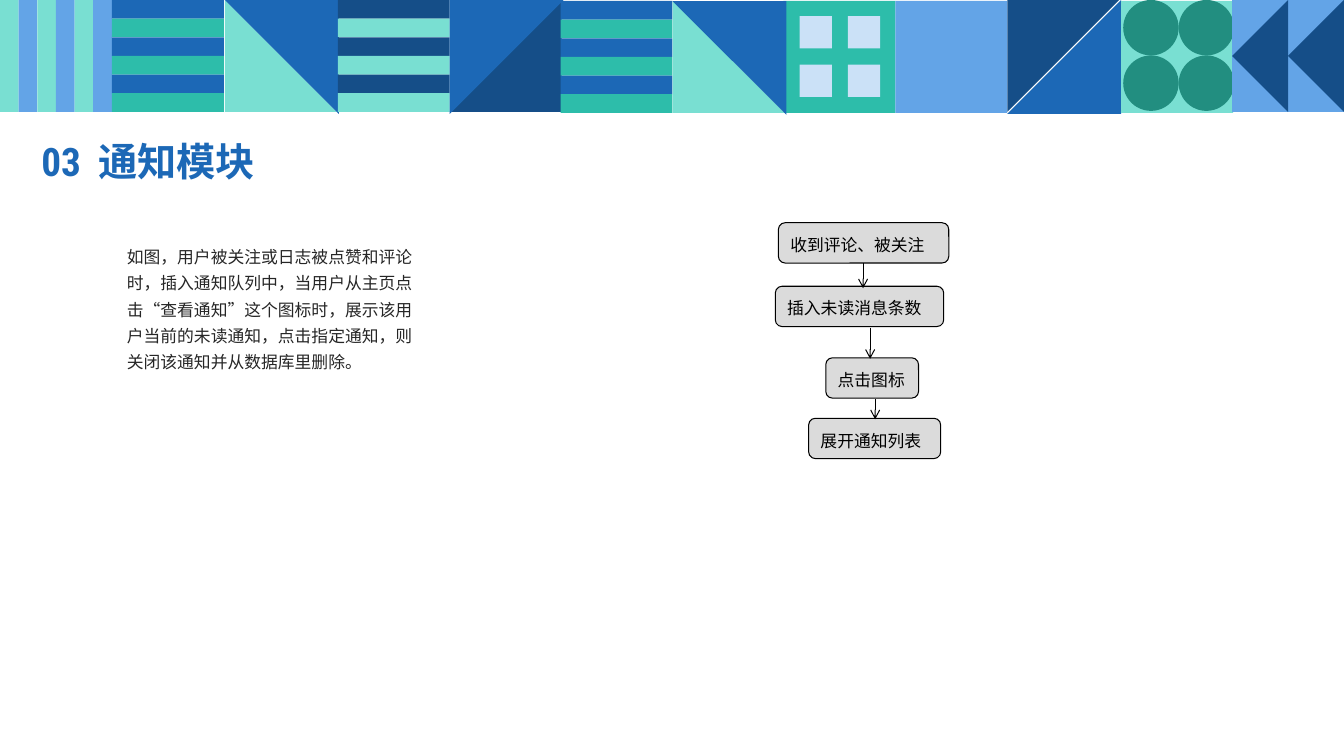
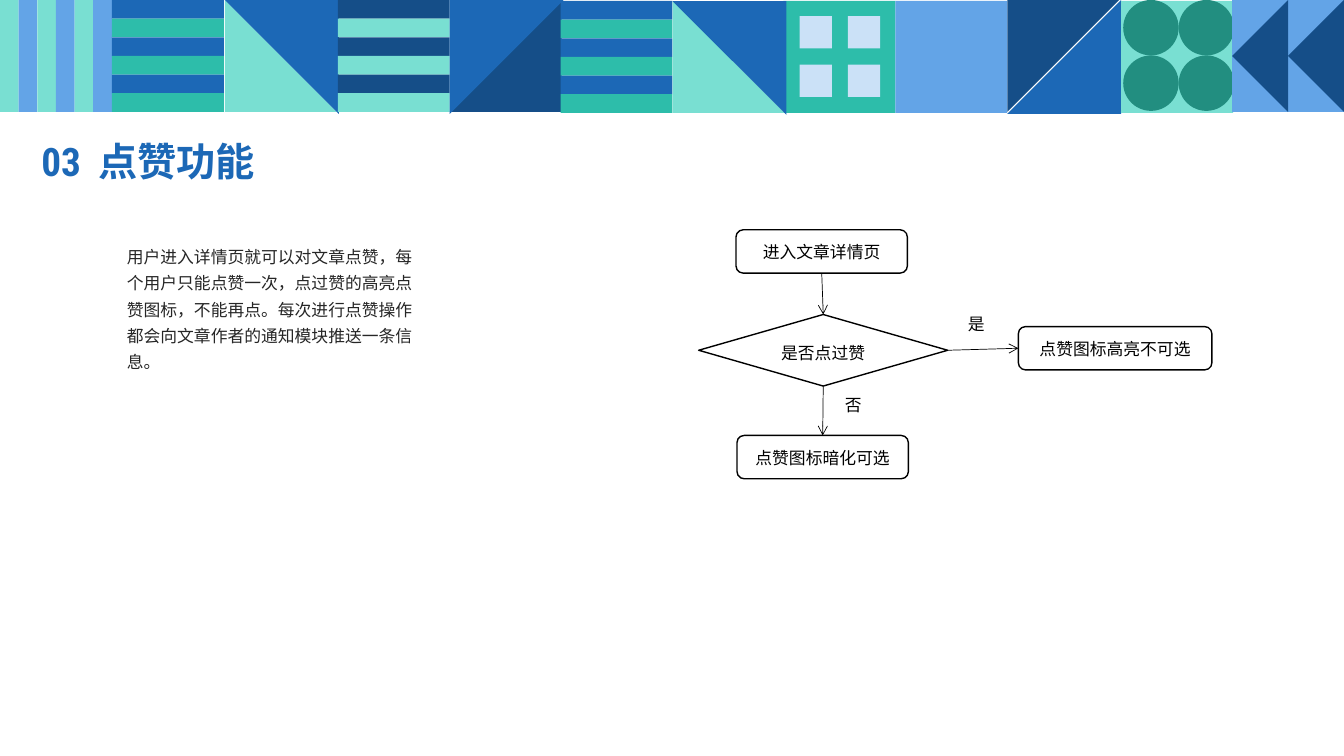
from lxml import etree
from pptx import Presentation
from pptx.dml.color import RGBColor
from pptx.enum.shapes import MSO_CONNECTOR, MSO_SHAPE
from pptx.enum.text import MSO_ANCHOR, PP_ALIGN
from pptx.oxml.ns import qn
from pptx.util import Inches, Pt

RECTANGLE = MSO_SHAPE.RECTANGLE
ROUNDED = MSO_SHAPE.ROUNDED_RECTANGLE
OVAL = MSO_SHAPE.OVAL
TRIANGLE = MSO_SHAPE.ISOSCELES_TRIANGLE
RIGHT_TRIANGLE = MSO_SHAPE.RIGHT_TRIANGLE
DECISION = MSO_SHAPE.FLOWCHART_DECISION
STRAIGHT = MSO_CONNECTOR.STRAIGHT
TOP, MIDDLE = MSO_ANCHOR.TOP, MSO_ANCHOR.MIDDLE
LEFT, CENTER, JUSTIFY = PP_ALIGN.LEFT, PP_ALIGN.CENTER, PP_ALIGN.JUSTIFY

COLORS = {
    "blue": "1C68B6",
    "navy": "154E88",
    "sky": "63A4E7",
    "pale": "CBE1F7",
    "teal": "2DBDAA",
    "mint": "79DFD2",
    "green": "228E80",
    "text": "262626",
    "black": "000000",
    "gray": "DBDBDB",
    "white": "FFFFFF",
}
CJK_FONT = "Noto Sans CJK SC"
TITLE_FONT = "Roboto Condensed"
FLOW_FONT = "Times New Roman"
TITLE_ONLY = 5
TILE = 1.11
STRIPES = 6
SITE_TOP, SITE_LEFT, SITE_BOTTOM, SITE_RIGHT = range(4)


def color(name):
    return RGBColor.from_string(COLORS[name])


def inches(*lengths):
    return [Inches(length) for length in lengths]


def format_run(run, font_name, size, color_name, bold=False):
    font = run.font
    font.name = font_name
    font.size = Pt(size)
    font.bold = bold
    font.color.rgb = color(color_name)
    etree.SubElement(font._element, qn("a:ea"), typeface=CJK_FONT)


def write(shape, text, font_name, color_name, alignment, line_spacing, anchor=TOP):
    """Put one 12-point paragraph into a shape."""
    frame = shape.text_frame
    frame.word_wrap = True
    frame.vertical_anchor = anchor
    paragraph = frame.paragraphs[0]
    paragraph.text = text
    paragraph.alignment = alignment
    paragraph.line_spacing = line_spacing
    format_run(paragraph.runs[0], font_name, 12, color_name)


# Pattern band

def add_piece(group, kind, box, fill, rotation=0):
    """Add one borderless part of the pattern."""
    piece = group.shapes.add_shape(kind, *inches(*box))
    piece.shadow.inherit = False
    piece.fill.solid()
    piece.fill.fore_color.rgb = color(fill)
    piece.line.fill.background()
    piece.rotation = rotation


def add_square(group, left, top, fill):
    add_piece(group, RECTANGLE, (left, top, TILE, TILE), fill)


def add_stripes(group, left, top, fills, vertical=False):
    thickness = TILE / STRIPES
    for index in range(STRIPES):
        offset = index * thickness
        if vertical:
            box = (left + offset, top, thickness, TILE)
        else:
            box = (left, top + offset, TILE, thickness)
        add_piece(group, RECTANGLE, box, fills[index % 2])


def add_diagonal(group, left, top, fills, rotation):
    """Split a tile into two triangles; the second slightly overlaps the first."""
    for index, size in enumerate((TILE, TILE + 0.02)):
        add_piece(group, RIGHT_TRIANGLE, (left, top, size, size),
                  fills[index], (rotation + 180 * index) % 360)


def add_four(group, kind, left, top, size, step, fill):
    for row in range(2):
        for column in range(2):
            box = (left + column * step, top + row * step, size, size)
            add_piece(group, kind, box, fill)


def add_arrowheads(group, left, top, fill):
    half = TILE / 2
    for index in range(2):
        box = (left + index * half - half / 2, top + half / 2, TILE, half)
        add_piece(group, TRIANGLE, box, fill, 270)


def add_band(slide):
    """Draw the pattern band and move it to the layout that all slides share."""
    group = slide.shapes.add_group_shape()
    add_stripes(group, 0, 0, ("mint", "sky"), vertical=True)
    add_stripes(group, 1.11, 0, ("blue", "teal"))
    add_diagonal(group, 2.23, 0, ("mint", "blue"), 0)
    add_stripes(group, 3.35, 0, ("navy", "mint"))
    add_diagonal(group, 4.46, 0, ("navy", "blue"), 270)
    add_stripes(group, 5.56, 0.01, ("blue", "teal"))
    add_square(group, 7.77, 0.01, "teal")
    add_four(group, RECTANGLE, 7.93, 0.16, 0.32, 0.48, "pale")
    add_diagonal(group, 6.67, 0.01, ("mint", "blue"), 0)
    add_square(group, 8.88, 0.01, "sky")
    add_diagonal(group, 9.99, 0, ("navy", "blue"), 90)
    add_square(group, 11.12, 0.01, "mint")
    add_four(group, OVAL, 11.14, 0, 0.55, 0.55, "green")
    add_square(group, 12.22, 0, "sky")
    add_arrowheads(group, 12.22, 0, "navy")
    slide.slide_layout.shapes.element.insert(2, group.element)


# Title and description

def add_title(slide, number, name):
    title = slide.shapes.title
    title.left, title.top, title.width, title.height = inches(0.31, 1.31, 5.1, 0.63)
    frame = title.text_frame
    frame.word_wrap = True
    frame.vertical_anchor = MIDDLE
    paragraph = frame.paragraphs[0]
    paragraph.alignment = LEFT
    paragraph.line_spacing = 0.9
    paragraph.space_before = Pt(10)
    for text in (number, " ", name):
        run = paragraph.add_run()
        run.text = text
        format_run(run, TITLE_FONT, 28, "blue", bold=True)
    gap = paragraph.runs[1]
    gap.font._element.set("spc", "600")


def add_description(slide, text):
    box = slide.shapes.add_textbox(*inches(1.16, 2.34, 3.18, 1.41))
    write(box, text, CJK_FONT, "text", LEFT, 1.3)


def add_topic_slide(presentation, number, name, description):
    slide = presentation.slides.add_slide(presentation.slide_layouts[TITLE_ONLY])
    add_title(slide, number, name)
    add_description(slide, description)
    return slide


# Flow charts

def add_step(slide, kind, box, text, fill, line_width, alignment, anchor=TOP):
    step = slide.shapes.add_shape(kind, *inches(*box))
    step.shadow.inherit = False
    step.fill.solid()
    step.fill.fore_color.rgb = color(fill)
    step.line.color.rgb = color("black")
    step.line.width = Pt(line_width)
    write(step, text, FLOW_FONT, "black", alignment, 1.25, anchor)
    return step


def add_arrow(slide, start, end, line_width):
    arrow = slide.shapes.add_connector(STRAIGHT, *inches(*start, *end))
    arrow.line.color.rgb = color("black")
    arrow.line.width = Pt(line_width)
    properties = arrow.element.spPr
    etree.SubElement(properties.find(qn("a:ln")), qn("a:tailEnd"), type="arrow")
    etree.SubElement(properties, qn("a:effectLst"))
    return arrow


def join_steps(slide, first, first_site, second, second_site):
    arrow = add_arrow(slide, (0, 0), (1, 1), 0.5)
    arrow.begin_connect(first, first_site)
    arrow.end_connect(second, second_site)


def add_branch_label(slide, left, top, text):
    label = slide.shapes.add_textbox(*inches(left, top, 0.38, 0.38))
    write(label, text, FLOW_FONT, "black", JUSTIFY, 1.25)


def add_notice_flow(slide, left, top):
    steps = (
        (0.03, 0, 1.69, "收到评论、被关注"),
        (0, 0.63, 1.67, "插入未读消息条数"),
        (0.5, 1.34, 0.92, "点击图标"),
        (0.33, 1.94, 1.31, "展开通知列表"),
    )
    for x, y, width, text in steps:
        add_step(slide, ROUNDED, (left + x, top + y, width, 0.4), text,
                 "gray", 0.75, JUSTIFY)
    for x, start, end in ((0.87, 0.4, 0.65), (0.94, 1.04, 1.35), (0.99, 1.75, 1.95)):
        add_arrow(slide, (left + x, top + start), (left + x, top + end), 0.75)


def add_like_flow(slide, left, top):
    def step(kind, x, y, width, height, text, anchor=TOP):
        return add_step(slide, kind, (left + x, top + y, width, height), text,
                        "white", 1, CENTER, anchor)

    enter = step(ROUNDED, 0.37, 0, 1.7, 0.43, "进入文章详情页")
    liked = step(DECISION, 0, 0.84, 2.47, 0.71, "是否点过赞", MIDDLE)
    available = step(ROUNDED, 0.38, 2.04, 1.7, 0.43, "点赞图标暗化可选")
    highlighted = step(ROUNDED, 3.17, 0.96, 1.92, 0.43, "点赞图标高亮不可选")
    join_steps(slide, enter, SITE_BOTTOM, liked, SITE_TOP)
    join_steps(slide, liked, SITE_BOTTOM, available, SITE_TOP)
    join_steps(slide, liked, SITE_RIGHT, highlighted, SITE_LEFT)
    add_branch_label(slide, left + 1.35, top + 1.54, "否")
    add_branch_label(slide, left + 2.57, top + 0.73, "是")


def main():
    presentation = Presentation()
    presentation.slide_width, presentation.slide_height = inches(13.33, 7.5)

    notice = add_topic_slide(
        presentation, "03", "通知模块",
        "如图，用户被关注或日志被点赞和评论时，插入通知队列中，当用户从主页点击“查看通知”"
        "这个图标时，展示该用户当前的未读通知，点击指定通知，则关闭该通知并从数据库里删除。")
    add_band(notice)
    add_notice_flow(notice, 7.69, 2.21)

    like = add_topic_slide(
        presentation, "03", "点赞功能",
        "用户进入详情页就可以对文章点赞，每个用户只能点赞一次，点过赞的高亮点赞图标，不能再点。"
        "每次进行点赞操作都会向文章作者的通知模块推送一条信息。")
    add_like_flow(like, 6.93, 2.28)

    presentation.save("out.pptx")


if __name__ == "__main__":
    main()
